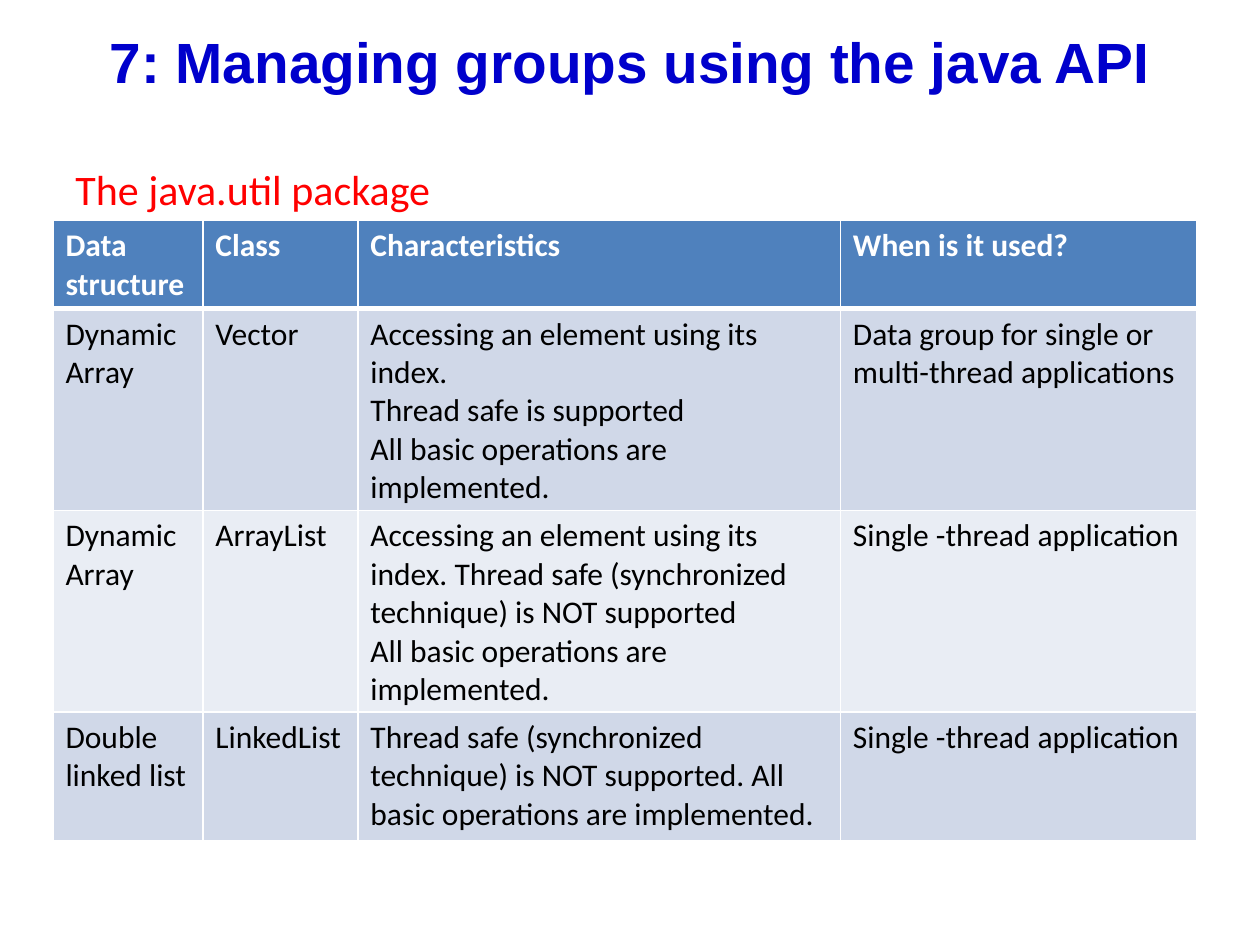
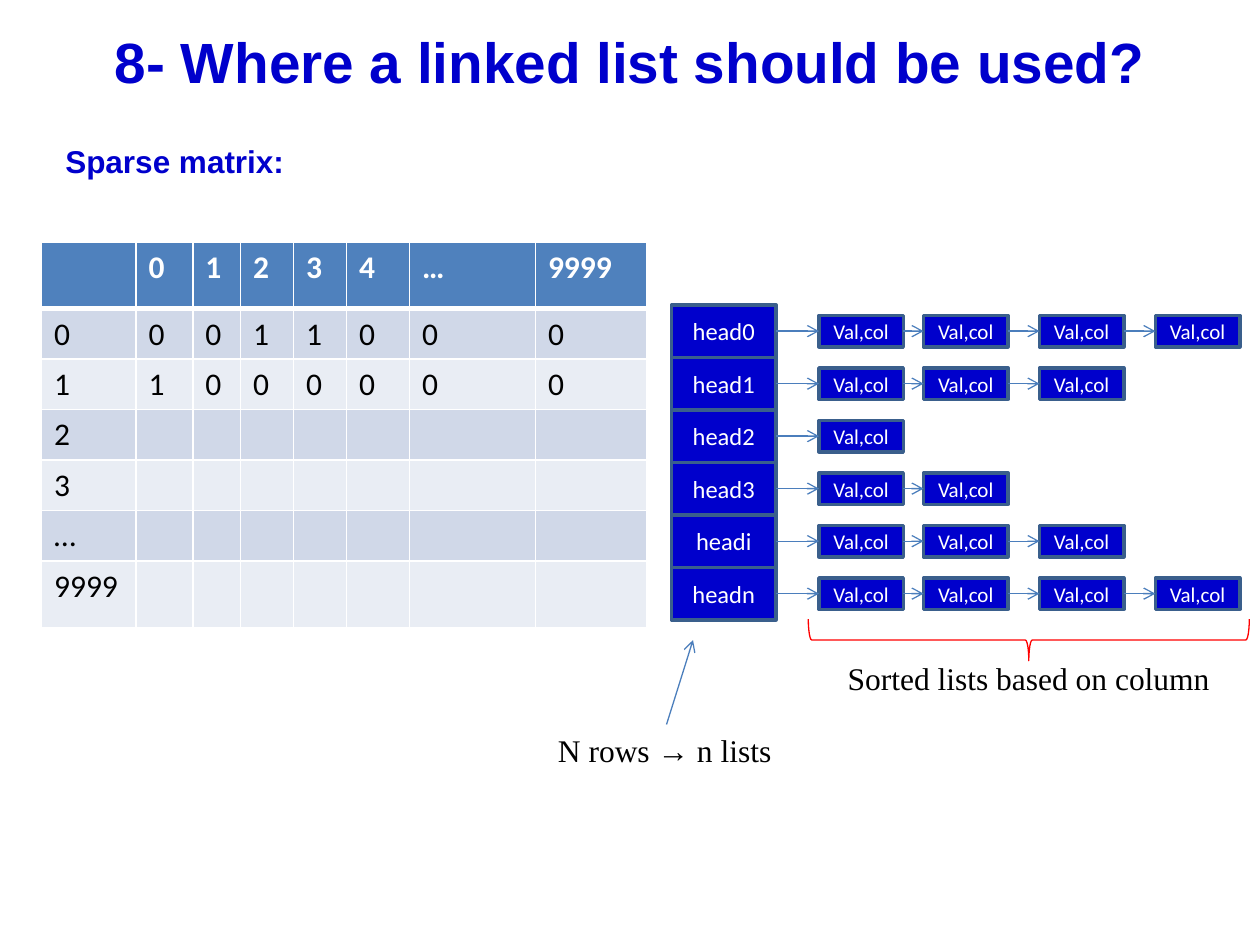
from pptx import Presentation
from pptx.dml.color import RGBColor
from pptx.enum.shapes import MSO_CONNECTOR, MSO_SHAPE
from pptx.enum.text import MSO_ANCHOR as Anchor, PP_ALIGN as Align
from pptx.oxml.ns import qn
from pptx.util import Inches, Pt
from lxml.etree import SubElement, Element

BLUE = RGBColor(0x00, 0x00, 0xCC)
RED = RGBColor(0xFF, 0x00, 0x00)
BLACK = RGBColor(0x00, 0x00, 0x00)
WHITE = RGBColor(0xFF, 0xFF, 0xFF)
HEADER = RGBColor(0x4F, 0x81, 0xBD)
BAND_DARK = RGBColor(0xD0, 0xD8, 0xE8)
BAND_LIGHT = RGBColor(0xE9, 0xED, 0xF4)
BOX_EDGE = RGBColor(0x3A, 0x5F, 0x8C)
ARROW = RGBColor(0x4B, 0x7E, 0xBC)


def write(frame, text, font, size, color, bold=False, align=Align.LEFT):
    frame.word_wrap = True
    for index, line in enumerate(text.split("\n")):
        para = frame.paragraphs[0] if index == 0 else frame.add_paragraph()
        para.alignment = align
        span = para.add_run()
        span.text = line
        span.font.name = font
        span.font.size = Pt(size)
        span.font.bold = bold
        span.font.color.rgb = color


def add_grid(page, left, top, widths, heights, rows):
    table = page.shapes.add_table(
        len(rows), len(widths), Inches(left), Inches(top),
        Inches(sum(widths)), Inches(sum(heights))).table
    for column, width in zip(table.columns, widths):
        column.width = Inches(width)
    for r, texts in enumerate(rows):
        table.rows[r].height = Inches(heights[r])
        for c, text in enumerate(texts):
            cell = table.cell(r, c)
            cell.fill.solid()
            cell.fill.fore_color.rgb = HEADER if r == 0 else BAND_DARK if r % 2 else BAND_LIGHT
            if text:
                write(cell.text_frame, text, "Calibri", 18, BLACK if r else WHITE, r == 0)
            borders = {"lnL": 1, "lnR": 1, "lnT": 3 if r == 1 else 1, "lnB": 1 if r else 3}
            for position, (side, width) in enumerate(borders.items()):
                border = Element(qn("a:" + side), w=str(Pt(width)))
                paint = SubElement(border, qn("a:solidFill"))
                SubElement(paint, qn("a:srgbClr"), val=str(WHITE))
                cell._tc.get_or_add_tcPr().insert(position, border)


deck = Presentation()
deck.slide_width = Inches(10)
deck.slide_height = Inches(7.5)

pages = []
for title in ("7: Managing groups using the java API", "8- Where a linked list should be used?"):
    page = deck.slides.add_slide(deck.slide_layouts[6])
    box = page.shapes.add_textbox(Inches(0.5), Inches(0.17), Inches(9), Inches(0.62))
    box.text_frame.vertical_anchor = Anchor.MIDDLE
    write(box.text_frame, title, "Arial", 32.4, BLUE, True, Align.CENTER)
    pages.append(page)
package_page, matrix_page = pages

BASIC = "All basic operations are implemented."
ACCESS = "Accessing an element using its index."
UNSAFE = "Thread safe (synchronized technique) is NOT supported"
SINGLE = "Single -thread application"
add_grid(package_page, 0.42, 1.75, [1.19, 1.23, 3.83, 2.83], [0.55, 1.26, 1.5, 1.02], [
    ["Data structure", "Class", "Characteristics", "When is it used?"],
    ["Dynamic Array", "Vector", f"{ACCESS}\nThread safe is supported\n{BASIC}",
     "Data group for single or multi-thread applications"],
    ["Dynamic Array", "ArrayList", f"{ACCESS} {UNSAFE}\n{BASIC}", SINGLE],
    ["Double linked list", "LinkedList", f"{UNSAFE}. {BASIC}", SINGLE],
])
box = package_page.shapes.add_textbox(Inches(0.5), Inches(1.25), Inches(3.08), Inches(0.5))
write(box.text_frame, "The java.util package", "Calibri", 24, RED)

box = matrix_page.shapes.add_textbox(Inches(0.42), Inches(1.08), Inches(9), Inches(0.42))
write(box.text_frame, "Sparse matrix:", "Arial", 18, BLUE, True)
box.text_frame.paragraphs[0].space_before = Pt(3.6)

add_grid(matrix_page, 0.33, 1.92, [0.75, 0.45, 0.38, 0.42, 0.42, 0.5, 1, 0.88],
         [0.53] + [0.39] * 5 + [0.53], [
             ["", "0", "1", "2", "3", "4", "…", "9999"],
             ["0", "0", "0", "1", "1", "0", "0", "0"],
             ["1", "1", "0", "0", "0", "0", "0", "0"],
             *[[label] + [""] * 7 for label in ("2", "3", "…", "9999")],
         ])

HEAD_LEFT, HEAD_TOP, HEAD_WIDTH, HEAD_HEIGHT = 5.33, 2.42, 0.83, 2.5 / 6
NODE_LEFTS, NODE_WIDTH, NODE_HEIGHT = [6.5, 7.33, 8.25, 9.17], 0.67, 0.25
boxes = []
arrows = [(5.29, 5.75, 5.5, 5.08)]
lists = [("head0", 4), ("head1", 3), ("head2", 1), ("head3", 2), ("headi", 3), ("headn", 4)]
for row, (head, count) in enumerate(lists):
    top = HEAD_TOP + row * HEAD_HEIGHT
    middle = top + HEAD_HEIGHT / 2
    boxes.append((head, 14, HEAD_LEFT, top, HEAD_WIDTH, HEAD_HEIGHT))
    start = HEAD_LEFT + HEAD_WIDTH
    for left in NODE_LEFTS[:count]:
        boxes.append(("Val,col", 12, left, middle - NODE_HEIGHT / 2, NODE_WIDTH, NODE_HEIGHT))
        arrows.append((start, middle, left, middle))
        start = left + NODE_WIDTH

for label, size, *place in boxes:
    box = matrix_page.shapes.add_shape(MSO_SHAPE.RECTANGLE, *map(Inches, place))
    box.shadow.inherit = False
    box.fill.solid()
    box.fill.fore_color.rgb = BLUE
    box.line.color.rgb = BOX_EDGE
    box.line.width = Pt(2)
    box.text_frame.vertical_anchor = Anchor.MIDDLE
    write(box.text_frame, label, "Calibri", size, WHITE, align=Align.CENTER)

for ends in arrows:
    arrow = matrix_page.shapes.add_connector(MSO_CONNECTOR.STRAIGHT, *map(Inches, ends))
    arrow.line.color.rgb = ARROW
    arrow.line.width = Pt(0.75)
    SubElement(arrow.line._get_or_add_ln(), qn("a:tailEnd"), type="arrow")
    SubElement(arrow._element.spPr, qn("a:effectLst"))

for text, left, top, width, align in (
        ("N rows → n lists", 4.33, 5.75, 1.92, Align.LEFT),
        ("Sorted lists based on column", 6.5, 5.18, 3.33, Align.CENTER)):
    box = matrix_page.shapes.add_textbox(Inches(left), Inches(top), Inches(width), Inches(0.4))
    write(box.text_frame, text, "Times New Roman", 18, BLACK, align=align)

brace = matrix_page.shapes.add_shape(
    MSO_SHAPE.RIGHT_BRACE, Inches(8), Inches(3.33), Inches(0.33), Inches(3.5))
brace.rotation = 90
brace.shadow.inherit = False
brace.fill.background()
brace.line.color.rgb = RED
brace.line.width = Pt(0.75)

deck.save("out.pptx")
